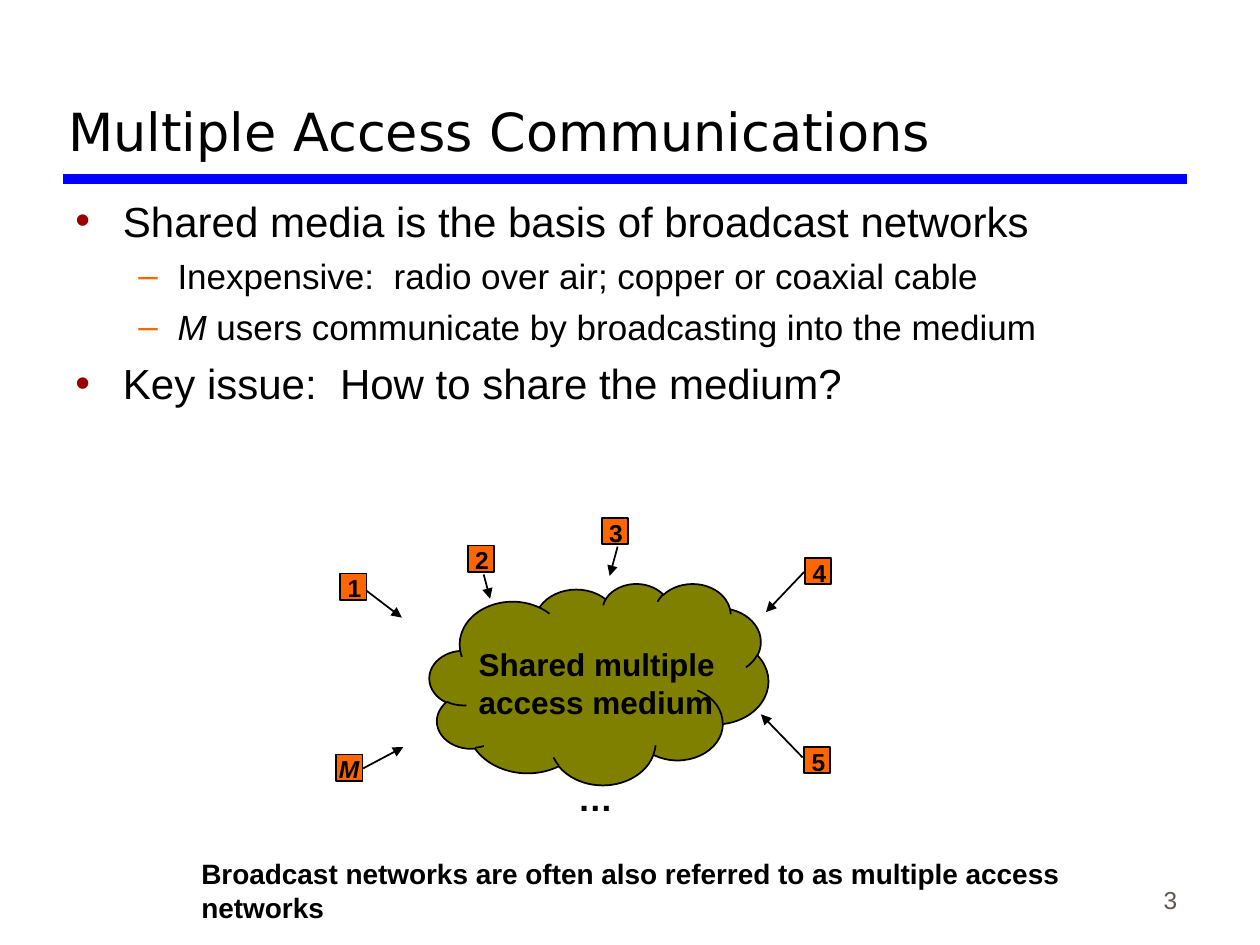
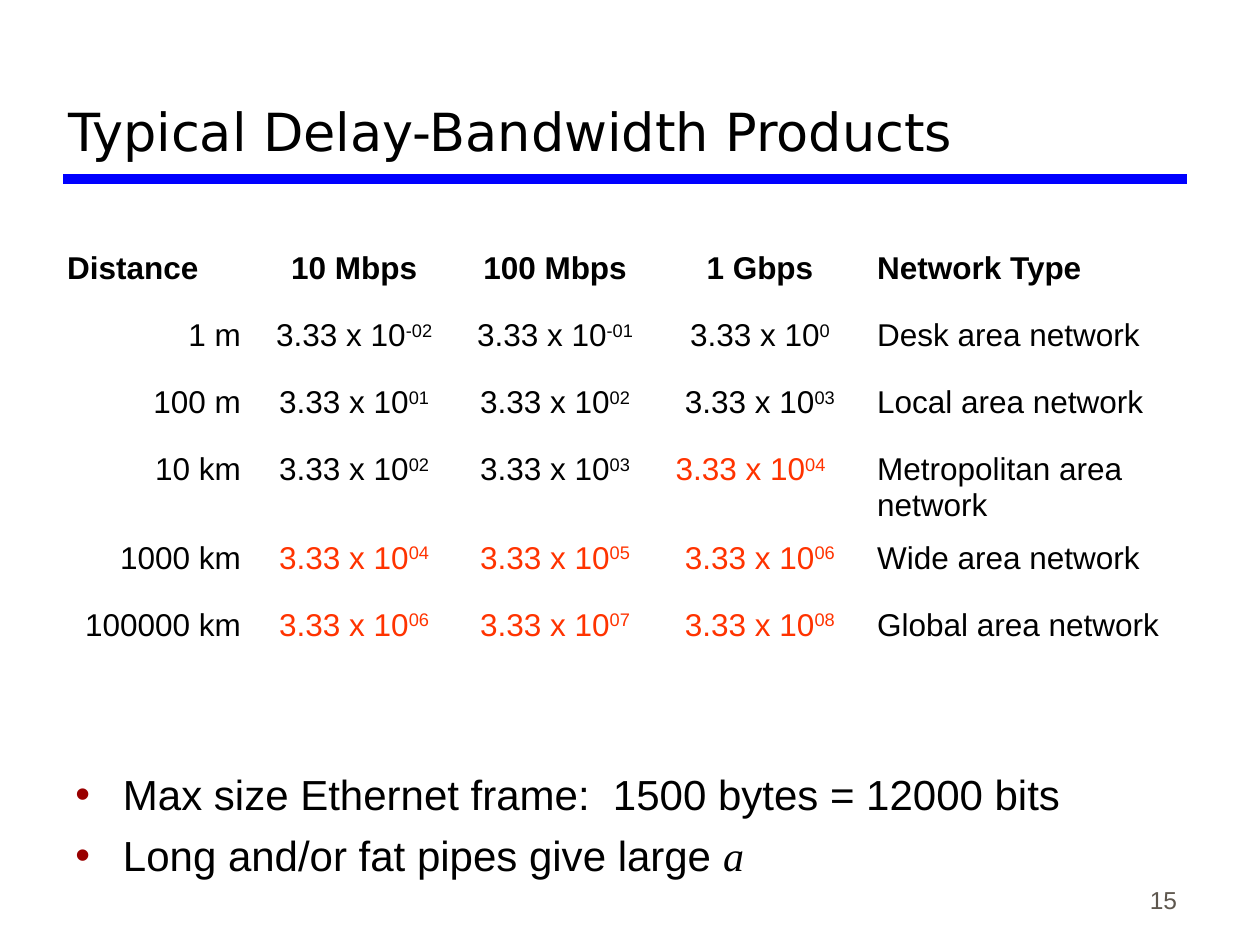
from typing import NamedTuple

from lxml import etree
from pptx import Presentation
from pptx import util as u
from pptx.dml.color import RGBColor
from pptx.enum import shapes, text
from pptx.oxml.ns import qn

# Shared colours and fonts
BLACK = RGBColor(0x00, 0x00, 0x00)
BLUE = RGBColor(0x00, 0x00, 0xFF)
GREY = RGBColor(0x5E, 0x57, 0x4E)
MAROON = RGBColor(0x99, 0x00, 0x00)
ORANGE = RGBColor(0xFF, 0x66, 0x00)
RED = RGBColor(0xFF, 0x33, 0x00)
OLIVE = RGBColor(0x80, 0x80, 0x00)

LEFT, MID, RIGHT = text.PP_ALIGN.LEFT, text.PP_ALIGN.CENTER, text.PP_ALIGN.RIGHT
TOP, BASE = text.MSO_ANCHOR.TOP, text.MSO_ANCHOR.BOTTOM

PLAIN = {"name": "Arial", "size": u.Pt(18), "bold": False, "italic": False}
BOLD = PLAIN | {"bold": True}
HEAD = PLAIN | {"name": "DejaVu Sans", "size": u.Pt(30)}
SMALL = PLAIN | {"size": u.Pt(14)}


class Box(NamedTuple):
    left: float
    top: float
    width: float
    height: float

    def cm(self) -> list:
        return [u.Cm(side) for side in self]


class Run(NamedTuple):
    words: str
    extra: dict = {}


class Level(NamedTuple):
    mark: str
    tint: RGBColor
    left: float
    hang: float
    size: int
    gap: int


class Item(NamedTuple):
    level: Level
    runs: list


class Node(NamedTuple):
    name: str
    left: float
    top: float
    start: tuple
    end: tuple


class Row(NamedTuple):
    reach: str
    powers: tuple
    kind: str
    height: float = 1.35


MAIN = Level("•", MAROON, 0.96, 0.96, 24, 6)
SUB = Level("–", ORANGE, 2.06, 0.79, 20, 5)


# Text helpers
def add_run(para, words: str, form: dict, tint: RGBColor = BLACK):
    run = para.add_run()
    run.text = words
    for key, value in form.items():
        setattr(run.font, key, value)
    run.font.color.rgb = tint
    return run


def add_frame(slide, box: Box, wrap: bool = True, anchor=TOP):
    frame = slide.shapes.add_textbox(*box.cm()).text_frame
    frame.word_wrap = wrap
    frame.vertical_anchor = anchor
    return frame


def next_para(frame, index: int):
    return frame.add_paragraph() if index else frame.paragraphs[0]


def add_text(slide, box: Box, lines: list, form: dict, tint: RGBColor = BLACK,
             align=LEFT, wrap: bool = True, anchor=TOP) -> None:
    frame = add_frame(slide, box, wrap, anchor)
    for index, line in enumerate(lines):
        para = next_para(frame, index)
        para.alignment = align
        add_run(para, line, form, tint)


def add_list(slide, box: Box, items: list) -> None:
    frame = add_frame(slide, box)
    for index, (level, runs) in enumerate(items):
        para = next_para(frame, index)
        props = para._p.get_or_add_pPr()
        props.set("marL", str(u.Cm(level.left)))
        props.set("indent", str(-u.Cm(level.hang)))
        tint = etree.SubElement(props, qn("a:buClr"))
        etree.SubElement(tint, qn("a:srgbClr"), val=str(level.tint))
        etree.SubElement(props, qn("a:buFont"), typeface="Arial")
        etree.SubElement(props, qn("a:buChar"), char=level.mark)
        if index:
            para.space_before = u.Pt(level.gap)
        for run in runs:
            add_run(para, run.words, PLAIN | {"size": u.Pt(level.size)} | run.extra)


# Shape helpers
def add_line(slide, start: tuple, end: tuple, tint: RGBColor, width: float,
             arrow: bool = False) -> None:
    line = slide.shapes.add_connector(
        shapes.MSO_CONNECTOR.STRAIGHT, *[u.Cm(spot) for spot in (*start, *end)])
    line.line.color.rgb = tint
    line.line.width = u.Pt(width)
    if arrow:
        etree.SubElement(line.line._get_or_add_ln(), qn("a:tailEnd"), type="triangle")
    etree.SubElement(line._element.spPr, qn("a:effectLst"))


def add_block(slide, kind, box: Box, fill: RGBColor) -> None:
    block = slide.shapes.add_shape(kind, *box.cm())
    block.shadow.inherit = False
    block.fill.solid()
    block.fill.fore_color.rgb = fill
    block.line.color.rgb = BLACK
    block.line.width = u.Pt(1)


def add_page(deck, title: str, number: int):
    """Blank slide with the blue rule, page number and title."""
    slide = deck.slides.add_slide(deck.slide_layouts[6])
    add_line(slide, (1.27, 3.61), (23.93, 3.61), BLUE, 6)
    add_text(slide, Box(18.7, 17.28, 5.28, 1.27), [str(number)], SMALL, GREY,
             RIGHT, anchor=BASE)
    add_text(slide, Box(1.13, 0.43, 22.78, 2.97), [title], HEAD, anchor=BASE)
    return slide


# Shared medium and its users
SIDE = 0.53
NODES = [
    Node("1", 6.86, 11.56, (7.39, 11.91), (8.1, 12.45)),
    Node("2", 9.43, 11.0, (9.75, 11.58), (9.88, 12.07)),
    Node("3", 12.13, 10.44, (12.45, 11.02), (12.29, 11.61)),
    Node("4", 16.23, 11.25, (16.21, 11.53), (15.44, 12.34)),
    Node("5", 16.21, 15.06, (16.18, 15.27), (15.34, 14.4)),
    Node("M", 6.78, 15.21, (7.32, 15.49), (8.13, 15.06)),
]


def add_node(slide, node: Node) -> None:
    add_block(slide, shapes.MSO_SHAPE.RECTANGLE,
              Box(node.left, node.top, SIDE, SIDE), ORANGE)
    last = node.name == "M"
    shift, width = (0.2, 0.91) if last else (0.1, 0.79)
    add_text(slide, Box(node.left - shift, node.top - 0.13, width, 0.84),
             [node.name], SMALL | {"bold": True, "italic": last}, wrap=False)
    add_line(slide, node.start, node.end, BLACK, 1, arrow=True)


def draw_access(deck) -> None:
    slide = add_page(deck, "Multiple Access Communications", 3)
    add_list(slide, Box(1.27, 3.81, 22.71, 5.31), [
        Item(MAIN, [Run("Shared media is the basis of broadcast networks")]),
        Item(SUB, [Run("Inexpensive:  radio over air; copper or coaxial cable")]),
        Item(SUB, [Run("M", {"italic": True}),
                   Run(" users communicate by broadcasting into the medium")]),
        Item(MAIN, [Run("Key issue:  How to share the medium?")]),
    ])
    add_block(slide, shapes.MSO_SHAPE.CLOUD, Box(8.66, 11.76, 6.83, 4.06), OLIVE)
    add_text(slide, Box(11.4, 15.52, 1.22, 1.09), ["…"],
             BOLD | {"size": u.Pt(20)}, wrap=False)
    for node in NODES:
        add_node(slide, node)
    add_text(slide, Box(9.4, 12.88, 5.5, 1.78),
             ["Shared multiple", "access medium"], BOLD)
    add_text(slide, Box(3.81, 17.15, 19.69, 1.63),
             ["Broadcast networks are often also referred to as multiple access networks"],
             BOLD | {"size": u.Pt(16)})


# Table of delay-bandwidth products
HEADS = ["Distance", "10 Mbps", "100 Mbps", "1 Gbps", "Network Type"]
WIDTHS = [4.01, 4.06, 4.04, 4.22, 6.78]
SIDES = [RIGHT, MID, MID, MID, LEFT]
ROWS = [
    Row("1 m", ("-02", "-01", "0"), "Desk area network"),
    Row("100 m", ("01", "02", "03"), "Local area network"),
    Row("10 km", ("02", "03", "04"), "Metropolitan area network", 1.78),
    Row("1000 km", ("04", "05", "06"), "Wide area network"),
    Row("100000 km", ("06", "07", "08"), "Global area network"),
]
HIGH = 4  # powers of ten from here on are shown in red


def fill_cell(cell, words: str, align, form: dict = PLAIN, power: str = "") -> None:
    cell.fill.background()
    para = cell.text_frame.paragraphs[0]
    para.alignment = align
    tint = RED if power and int(power) >= HIGH else BLACK
    add_run(para, words, form, tint)
    if power:
        run = add_run(para, power, form, tint)
        run.font._element.set("baseline", "30000")


def add_grid(slide) -> None:
    heights = [1.35] + [row.height for row in ROWS]
    box = Box(1.1, 4.94, sum(WIDTHS), sum(heights))
    grid = slide.shapes.add_table(len(heights), len(WIDTHS), *box.cm()).table
    grid.first_row = grid.horz_banding = False
    for col, width in zip(grid.columns, WIDTHS):
        col.width = u.Cm(width)
    for line, height in zip(grid.rows, heights):
        line.height = u.Cm(height)
    for col, (head, side) in enumerate(zip(HEADS, [LEFT] + SIDES[1:])):
        fill_cell(grid.cell(0, col), head, side, BOLD)
    for index, row in enumerate(ROWS, 1):
        fill_cell(grid.cell(index, 0), row.reach, SIDES[0])
        for col, power in enumerate(row.powers, 1):
            fill_cell(grid.cell(index, col), "3.33 x 10", SIDES[col], power=power)
        fill_cell(grid.cell(index, 4), row.kind, SIDES[4])
    # The first red value in the last rate column sits to the left
    metro = grid.cell(3, 3)
    metro.margin_left = u.Cm(0.41)
    metro.text_frame.paragraphs[0].alignment = LEFT


def draw_delay(deck) -> None:
    slide = add_page(deck, "Typical Delay-Bandwidth Products", 15)
    add_list(slide, Box(1.27, 15.37, 22.86, 3.45), [
        Item(MAIN, [Run("Max size Ethernet frame:  1500 bytes = 12000 bits")]),
        Item(MAIN, [Run("Long and/or fat pipes give large "),
                    Run("a", {"name": "Times New Roman", "italic": True})]),
    ])
    add_grid(slide)


def main() -> None:
    deck = Presentation()
    deck.slide_width, deck.slide_height = u.Cm(25.4), u.Cm(19.05)
    draw_access(deck)
    draw_delay(deck)
    deck.save("out.pptx")


if __name__ == "__main__":
    main()
